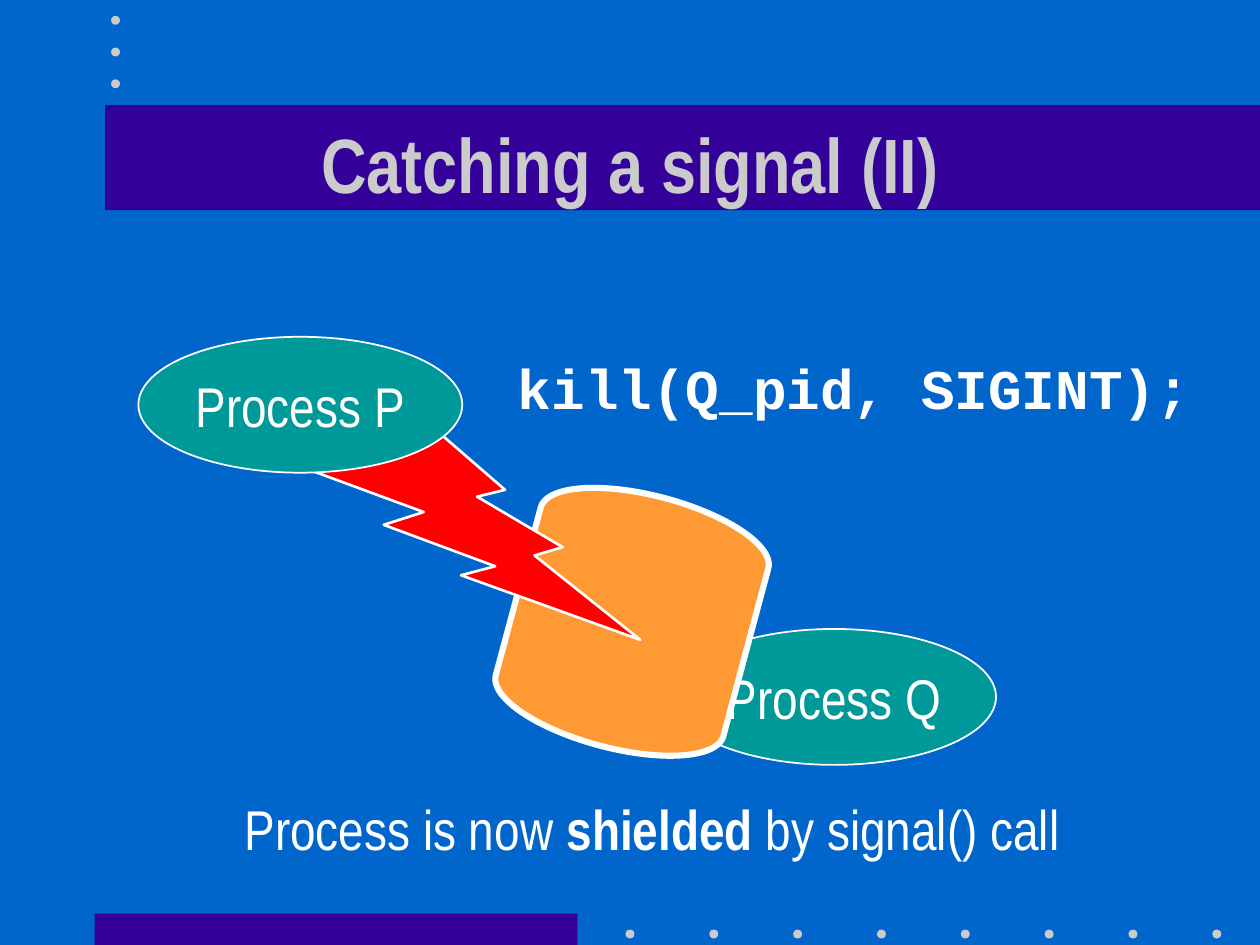
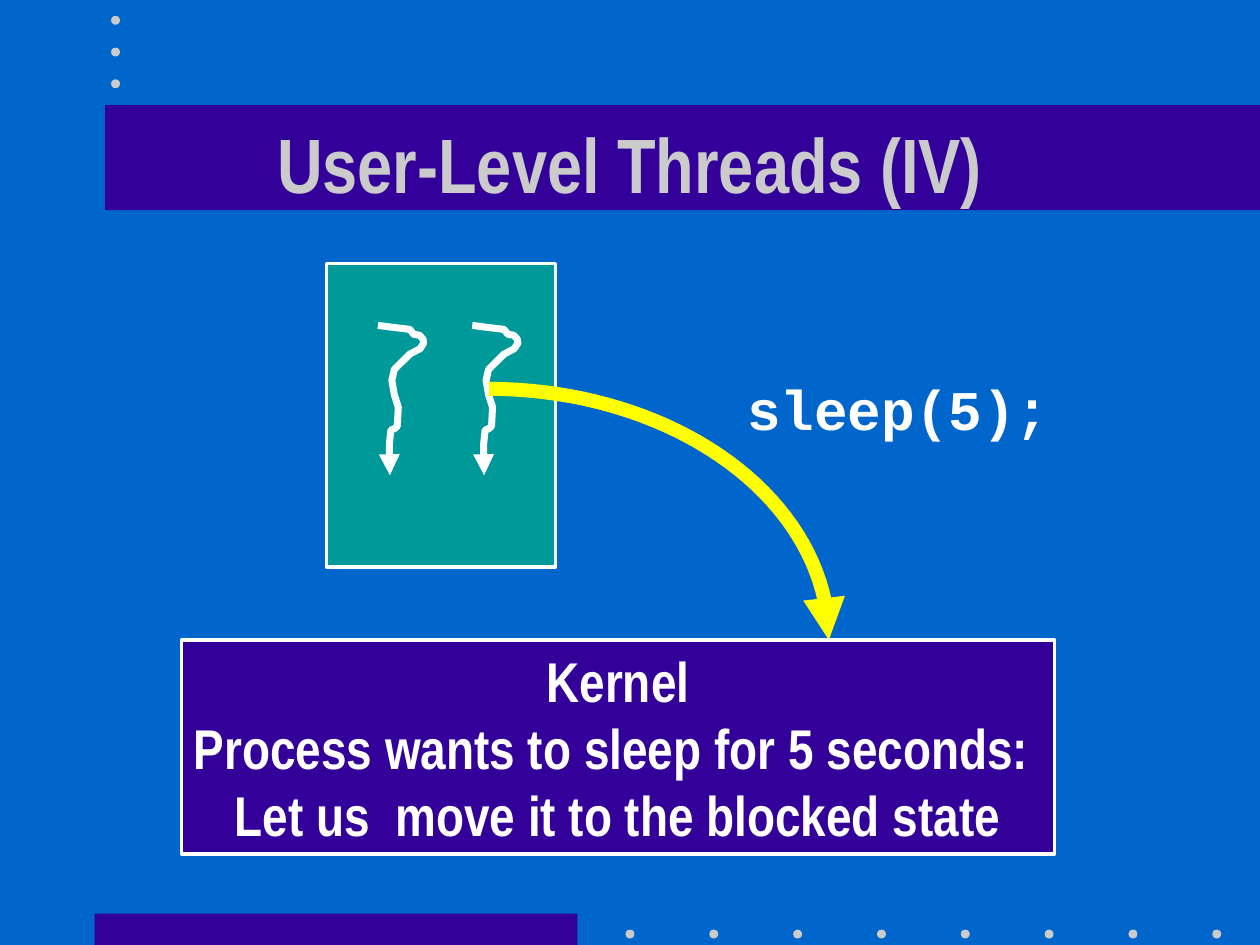
from math import cos, pi, sin

from lxml.etree import SubElement
from pptx import Presentation
from pptx.dml.color import RGBColor
from pptx.enum.shapes import MSO_SHAPE
from pptx.enum.text import MSO_ANCHOR, MSO_AUTO_SIZE, PP_ALIGN
from pptx.oxml.ns import qn
from pptx.util import Cm, Pt

COLORS = {
    "sky": "0066CC", "band": "330099", "dot": "CBCBCB", "process": "009999",
    "shield": "FF9933", "bolt": "FF0000", "call": "FFFF00", "white": "FFFFFF",
}
BODY = {"name": "Arial Narrow", "size": Pt(32), "bold": False}
BOLD = {**BODY, "bold": True}
TITLE = {**BOLD, "size": Pt(44)}
CODE = {**BOLD, "name": "Courier New"}

# Boxes are (left, top, width, height) in centimetres.
TITLE_BOX = (1.91, 1.69, 21.59, 3.18)
BANDS = [(1.91, 18.42, 9.73, 0.63), (2.12, 2.12, 23.28, 2.12)]
DOT_SIZE = 0.18
DOTS = ([(12.61 + 1.69 * i, 18.74) for i in range(8)]
        + [(2.24, 0.32 + 0.64 * i) for i in range(3)])

PROCESS_SIZE = (6.53, 2.74)
PROCESS_P = ("Process P", (2.79, 6.79))
PROCESS_Q = ("Process Q", (13.55, 12.68))
SHIELD_BOX = (10.16, 10.16, 5.16, 4.75)
BOLT_BOX = (6.17, 8.69, 6.74, 4.21)
KILL_BOX = (10.19, 7, 14.07, 1.63)
SHIELD_NOTE_BOX = (4.68, 15.89, 16.94, 1.63)
SHIELD_NOTE = [("Process is now", BODY), (" shielded", BOLD), (" by signal() call", BODY)]

USER_PROCESS_BOX = (6.58, 5.31, 4.62, 6.12)
THREAD_STARTS = [(7.62, 6.56), (9.52, 6.56)]
THREAD_PATH = [
    (0, 0), (0.3, 0.04), (0.64, 0.08), (0.72, 0.18), (0.84, 0.2), (0.91, 0.28),
    (0.92, 0.36), (0.85, 0.47), (0.64, 0.58), (0.41, 0.81), (0.33, 0.89),
    (0.28, 1.11), (0.33, 1.4), (0.41, 1.65), (0.39, 2.03), (0.34, 2.08),
    (0.26, 2.11), (0.23, 2.4), (0.23, 2.7), (0.24, 3.02),
]
CALL_START, CALL_REACH = (9.86, 7.84), (6.85, 5.06)
SLEEP_BOX = (14.81, 7.42, 7, 1.63)
KERNEL_BOX = (3.66, 12.9, 17.6, 4.32)
KERNEL_TEXT = [
    [("Kernel", BOLD)],
    [("Process wants to sleep for 5 seconds: \nLet us  move it to the blocked state", BOLD)],
]


def rgb(name):
    return RGBColor.from_string(COLORS[name])


def write(sp, paragraphs, color="white", align=PP_ALIGN.LEFT, anchor=MSO_ANCHOR.TOP, wrap=False):
    """Fill a shape with paragraphs, each a list of (text, format) runs."""
    tf = sp.text_frame
    tf.word_wrap, tf.vertical_anchor = wrap, anchor
    for i, runs in enumerate(paragraphs):
        p = tf.add_paragraph() if i else tf.paragraphs[0]
        p.alignment = align
        for text, fmt in runs:
            for n, line in enumerate(text.split("\n")):
                if n:
                    p.add_line_break()
                r = p.add_run()
                r.text = line
                r.font.color.rgb = rgb(color)
                for key, value in fmt.items():
                    setattr(r.font, key, value)


def add_label(s, box, runs):
    """Add one unwrapped line of text whose box grows to hold it."""
    sp = s.shapes.add_textbox(*map(Cm, box))
    write(sp, [runs])
    sp.text_frame.auto_size = MSO_AUTO_SIZE.SHAPE_TO_FIT_TEXT


def set_line(sp, width, color="white"):
    sp.line.color.rgb = rgb(color)
    sp.line.width = Pt(width)


def add_shape(s, kind, box, fill, line=0):
    sp = s.shapes.add_shape(kind, *map(Cm, box))
    sp.shadow.inherit = False
    sp.fill.solid()
    sp.fill.fore_color.rgb = rgb(fill)
    if line:
        set_line(sp, line)
    else:
        sp.line.fill.background()
    return sp


def add_arrow_path(s, points, width, color):
    """Draw an open outline through points, ending in an arrowhead."""
    start, *rest = [(Cm(x), Cm(y)) for x, y in points]
    builder = s.shapes.build_freeform(*start)
    builder.add_line_segments(rest, close=False)
    sp = builder.convert_to_shape()
    sp.shadow.inherit = False
    sp.fill.background()
    set_line(sp, width, color)
    ln = sp.line._get_or_add_ln()
    SubElement(ln, qn("a:round"))
    SubElement(ln, qn("a:tailEnd"), type="triangle")


def add_process(s, name, place):
    sp = add_shape(s, MSO_SHAPE.OVAL, place + PROCESS_SIZE, "process", 1)
    write(sp, [[(name, BODY)]], align=PP_ALIGN.CENTER, anchor=MSO_ANCHOR.MIDDLE)


def add_slide(prs, title):
    s = prs.slides.add_slide(prs.slide_layouts[6])
    s.background.fill.solid()
    s.background.fill.fore_color.rgb = rgb("sky")
    for box in BANDS:
        add_shape(s, MSO_SHAPE.RECTANGLE, box, "band")
    for place in DOTS:
        add_shape(s, MSO_SHAPE.OVAL, place + (DOT_SIZE, DOT_SIZE), "dot")
    write(s.shapes.add_textbox(*map(Cm, TITLE_BOX)), [[(title, TITLE)]], color="dot",
          align=PP_ALIGN.CENTER, anchor=MSO_ANCHOR.MIDDLE, wrap=True)
    return s


def add_signal_slide(prs):
    s = add_slide(prs, "Catching a signal (II)")
    add_process(s, *PROCESS_Q)
    shield = add_shape(s, MSO_SHAPE.FLOWCHART_TERMINATOR, SHIELD_BOX, "shield", 3.5)
    shield.rotation = 105
    add_label(s, KILL_BOX, [("kill(Q_pid, SIGINT);", CODE)])
    add_label(s, SHIELD_NOTE_BOX, SHIELD_NOTE)
    add_shape(s, MSO_SHAPE.LIGHTNING_BOLT, BOLT_BOX, "bolt", 1.5)
    add_process(s, *PROCESS_P)


def add_threads_slide(prs):
    s = add_slide(prs, "User-Level Threads (IV)")
    add_shape(s, MSO_SHAPE.RECTANGLE, USER_PROCESS_BOX, "process", 2)
    for x, y in THREAD_STARTS:
        add_arrow_path(s, [(x + dx, y + dy) for dx, dy in THREAD_PATH], 4, "white")
    (x, y), (rx, ry) = CALL_START, CALL_REACH
    angles = [pi / 2 * i / 40 for i in range(41)]
    quarter = [(x + rx * sin(a), y + ry * (1 - cos(a))) for a in angles]
    add_arrow_path(s, quarter, 8, "call")
    add_label(s, SLEEP_BOX, [("sleep(5);", CODE)])
    kernel = add_shape(s, MSO_SHAPE.RECTANGLE, KERNEL_BOX, "band", 2)
    write(kernel, KERNEL_TEXT, align=PP_ALIGN.CENTER)


def main():
    prs = Presentation()
    prs.slide_width, prs.slide_height = Cm(25.4), Cm(19.05)
    add_signal_slide(prs)
    add_threads_slide(prs)
    prs.save("out.pptx")


if __name__ == "__main__":
    main()
